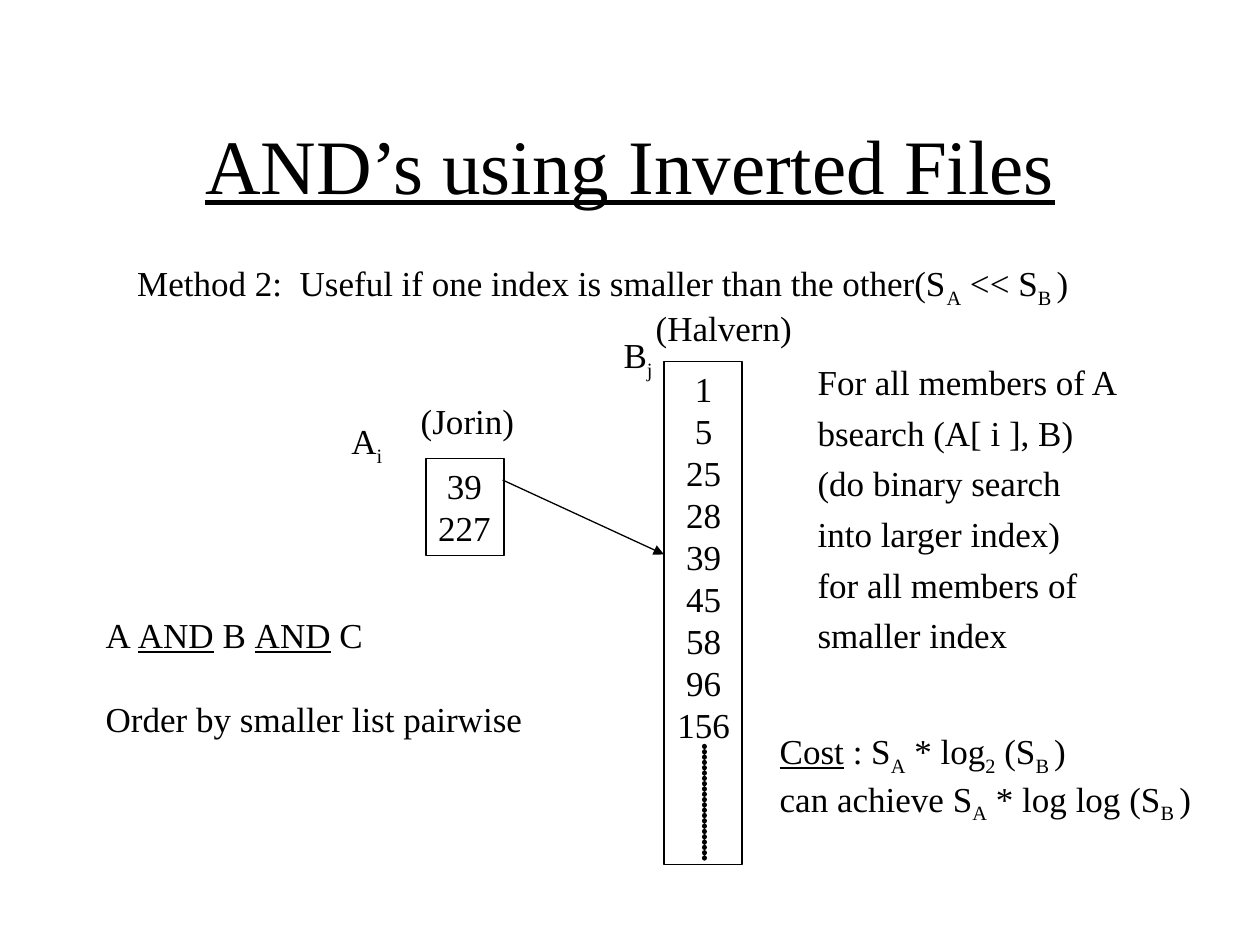
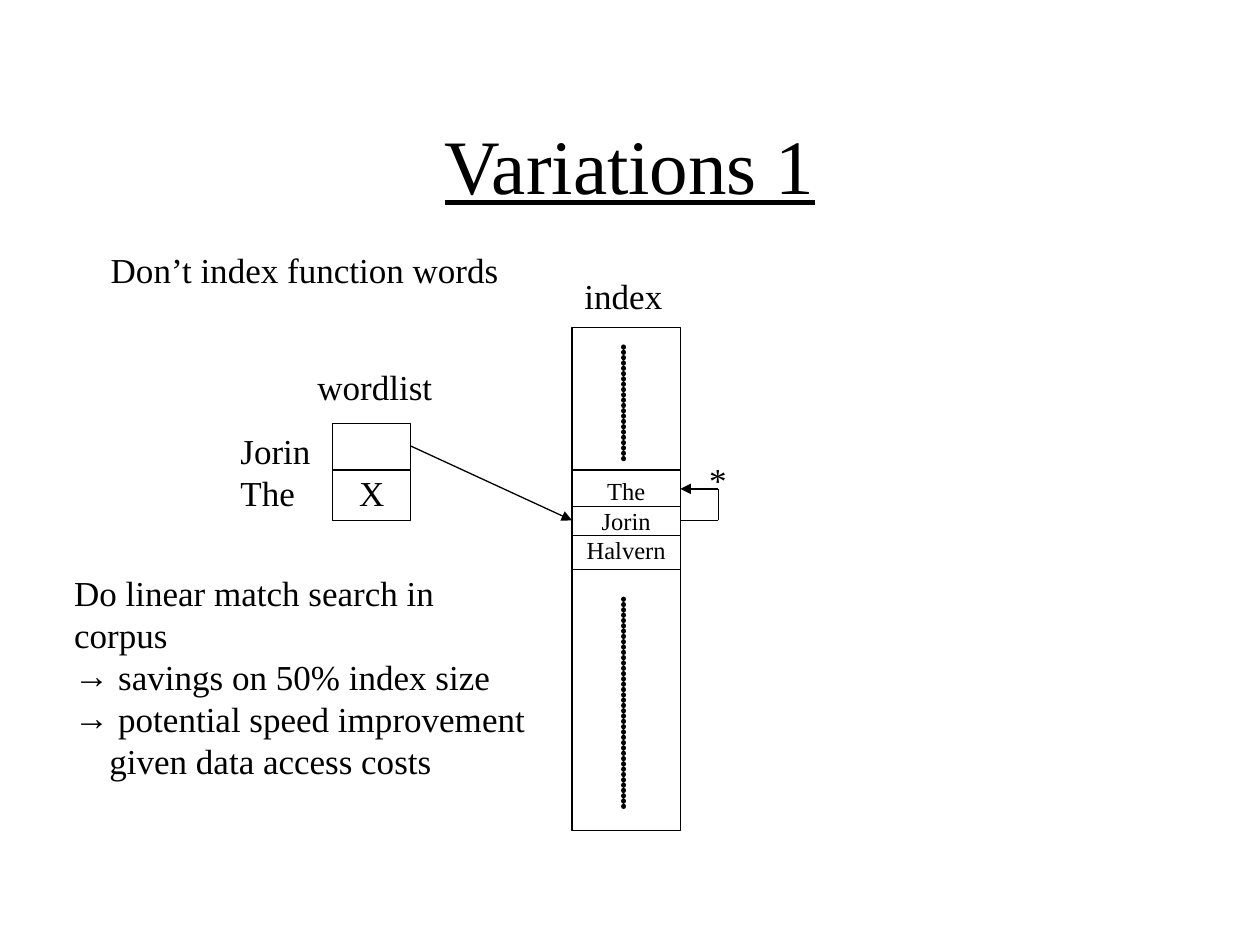
from lxml.etree import SubElement as Sub
from pptx import Presentation
from pptx.dml.color import RGBColor as Rgb
from pptx.enum.shapes import MSO_CONNECTOR as Conn, MSO_SHAPE as Shape
from pptx.enum.text import MSO_ANCHOR as Anchor, MSO_AUTO_SIZE as Fit, PP_ALIGN as Align
from pptx.oxml.ns import qn
from pptx.util import Inches, Pt

COLORS = {"ink": "000000", "page": "FFFFFF"}
FONT = "Times New Roman"
BODY, SMALL, HEAD = 20, 14, 44
THIN, THICK = 0.75, 3
LEFT, MID = Align.LEFT, Align.CENTER
FIRST, LAST = "Jorin", "Halvern"


def ink(name):
    return Rgb.from_string(COLORS[name])


def sub(text):
    return text, "sub"


def under(text):
    return text, "under"


def fill(para, line, size):
    """Write one line, either a string or a list of plain and styled pieces."""
    for piece in [line] if isinstance(line, str) else line:
        text, style = (piece, "") if isinstance(piece, str) else piece
        run = para.add_run()
        run.text = text
        font = run.font
        font.name, font.size = FONT, Pt(size)
        font.color.rgb = ink("ink")
        if style == "under":
            font.underline = True
        elif style == "sub":
            run._r.get_or_add_rPr().set("baseline", "-25000")


def text(slide, at, lines, size=BODY, align=LEFT, wrap=False, gap=0):
    """Add a text box; gap is the space before each paragraph in points."""
    frame = slide.shapes.add_textbox(*map(Inches, at)).text_frame
    frame.word_wrap = wrap
    frame.auto_size = Fit.SHAPE_TO_FIT_TEXT
    for i, line in enumerate(lines):
        para = frame.add_paragraph() if i else frame.paragraphs[0]
        para.alignment = align
        para.space_before = Pt(gap)
        fill(para, line, size)
    return frame


def indent(para, left, mark=None):
    """Indent a paragraph, with a hanging bullet if a mark is given."""
    props = para._p.get_or_add_pPr()
    props.set("marL", str(Inches(left)))
    if mark:
        props.set("indent", str(-Inches(left)))
        Sub(props, qn("a:buFont")).set("typeface", FONT)
        Sub(props, qn("a:buChar")).set("char", mark)


def box(slide, at):
    rect = slide.shapes.add_shape(Shape.RECTANGLE, *map(Inches, at))
    rect.shadow.inherit = False
    rect.fill.background()
    rect.line.color.rgb = ink("ink")
    rect.line.width = Pt(THIN)


def line(slide, start, end, arrow=False, dots=False):
    link = slide.shapes.add_connector(Conn.STRAIGHT, *map(Inches, start + end))
    link.line.color.rgb = ink("ink")
    link.line.width = Pt(THICK if dots else THIN)
    props = link._element.spPr
    ln = props.find(qn("a:ln"))
    if dots:
        # Round caps on tiny dashes, one line width apart
        ln.set("cap", "rnd")
        dash = Sub(Sub(ln, qn("a:custDash")), qn("a:ds"))
        dash.set("d", "1000")
        dash.set("sp", "100000")
    if arrow:
        Sub(ln, qn("a:tailEnd")).set("type", "triangle")
    Sub(props, qn("a:effectLst"))


def page(deck, title):
    """Add a blank slide with the shared title style."""
    slide = deck.slides.add_slide(deck.slide_layouts[6])
    slide.background.fill.solid()
    slide.background.fill.fore_color.rgb = ink("page")
    frame = text(slide, (0.75, 0.67, 8.5, 1.25), [[under(title)]], HEAD, MID, True)
    frame.auto_size = Fit.NONE
    frame.vertical_anchor = Anchor.MIDDLE
    return slide


def merge(deck):
    slide = page(deck, "AND’s using Inverted Files")
    text(slide, (0.99, 2.03, 7.61, 0.48),
         [["Method 2:  Useful if one index is smaller than the other(S", sub("A"),
           " << S", sub("B "), ")"]], wrap=True)

    # Short list A and long list B
    text(slide, (3.28, 3.64, 0.81, 0.77), ["39", "227"], align=MID)
    text(slide, (5.18, 2.87, 0.81, 3.1),
         ["1", "5", "25", "28", "39", "45", "58", "96", "156"], align=MID)
    box(slide, (3.38, 3.64, 0.62, 0.77))
    box(slide, (5.27, 2.87, 0.62, 3.99))
    text(slide, (2.69, 3.28, 0.55, 0.48), [["A", sub("i")]], wrap=True)
    text(slide, (4.85, 2.6, 0.55, 0.48), [["B", sub("j")]], wrap=True)
    text(slide, (3.1, 3.12, 1.22, 0.44), [f"({FIRST})"], align=MID)
    text(slide, (4.98, 2.38, 1.53, 0.44), [f"({LAST})"], align=MID)
    line(slide, (5.59, 6.81), (5.59, 5.92), dots=True)
    line(slide, (3.99, 3.81), (5.27, 4.4), arrow=True)

    # Search steps
    text(slide, (6.39, 2.81, 2.59, 2.45),
         ["For all members of A", "bsearch (A[ i ], B)", "(do binary search",
          "into larger index)", "for all members of", "smaller index"], gap=5)

    # Order and cost
    order = text(slide, (0.74, 4.82, 3.51, 1.1),
                 [["A ", under("AND"), " B ", under("AND"), " C"],
                  "Order by smaller list pairwise"])
    order.paragraphs[1].space_before = Pt(24)
    text(slide, (6.09, 5.74, 3.47, 0.86),
         [[under("Cost"), " : S", sub("A"), " * log", sub("2"), " (S", sub("B "), ")"],
          ["can achieve S", sub("A"), " * log log (S", sub("B "), ")"]])


def vary(deck):
    slide = page(deck, "Variations 1")
    text(slide, (0.78, 1.92, 3.28, 0.44), ["Don’t index function words"])

    # Word list
    text(slide, (2.65, 3.69, 0.6, 0.44), ["X"], align=MID)
    box(slide, (2.64, 3.36, 0.62, 0.77))
    line(slide, (3.26, 3.73), (2.64, 3.73))
    text(slide, (2.32, 2.85, 1.31, 0.44), ["wordlist"], align=MID)
    text(slide, (1.81, 3.36, 1, 0.77), [FIRST, "The"], wrap=True)

    # Index column
    left, right, mid = 4.54, 5.4, 4.95
    wide = right - left
    text(slide, (left, 3.73, wide, 0.8), ["The", FIRST, LAST], SMALL, MID, True)
    box(slide, (left, 2.6, wide, 3.99))
    text(slide, (left, 2.13, 0.99, 0.44), ["index"], wrap=True)
    for y in (3.73, 4.02, 4.25, 4.52):
        line(slide, (left, y), (right, y))
    for low, high in ((3.64, 2.74), (6.4, 4.75)):
        line(slide, (mid, low), (mid, high), dots=True)

    # Link from the word list, and the step back to the word before
    line(slide, (3.26, 3.54), (left, 4.13), arrow=True)
    turn, low, high = 5.7, 4.13, 3.88
    line(slide, (right, low), (turn, low))
    line(slide, (turn, low), (turn, high))
    line(slide, (turn, high), (right, high), arrow=True)
    text(slide, (5.53, 3.59, 0.34, 0.44), ["*"])

    # Gains
    gains = text(slide, (0.49, 4.49, 3.86, 1.77),
                 ["Do linear match search in corpus", "savings on 50% index size",
                  "potential speed improvement", "given data access costs"], wrap=True)
    for para in gains.paragraphs[1:3]:
        indent(para, 0.35, "→")
    indent(gains.paragraphs[3], 0.28)


def main():
    deck = Presentation()
    deck.slide_width, deck.slide_height = Inches(10), Inches(7.5)
    merge(deck)
    vary(deck)
    deck.save("out.pptx")


if __name__ == "__main__":
    main()
